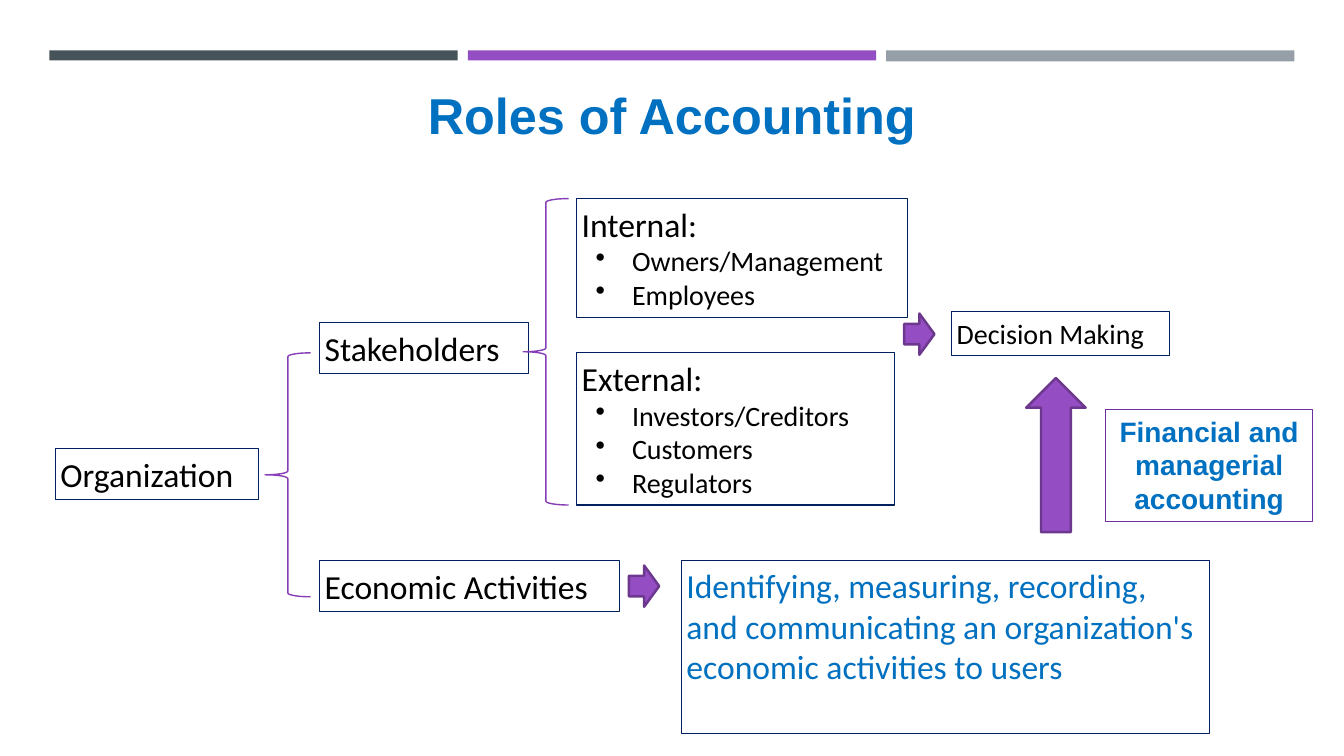
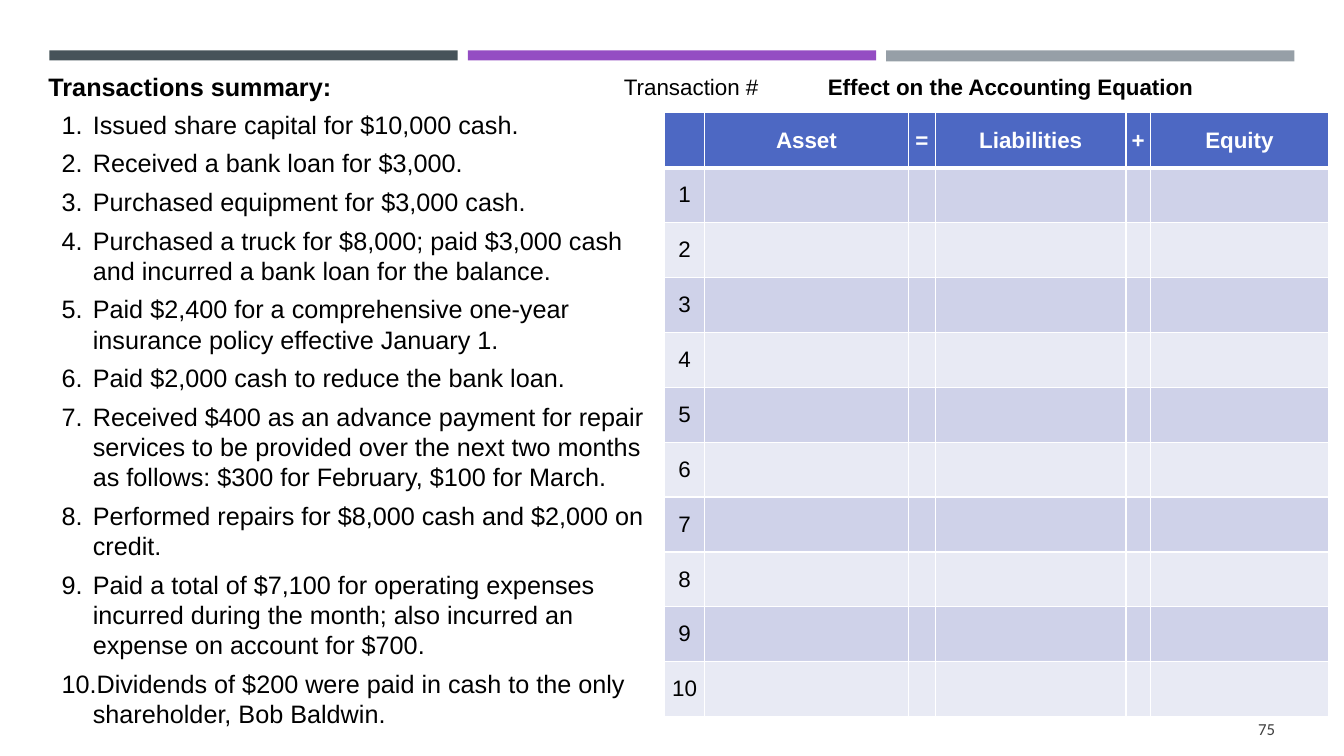
"""Build two accounting slides: a diagram of roles and a transaction table."""
from lxml.etree import SubElement
from pptx import Presentation
from pptx.dml.color import RGBColor
from pptx.enum.shapes import MSO_SHAPE
from pptx.enum.text import MSO_ANCHOR, MSO_AUTO_SIZE, PP_ALIGN
from pptx.oxml.ns import qn
from pptx.util import Inches, Pt

WIDE, HIGH = Inches(13.33), Inches(7.5)
PAD = Inches(0.05)

BLACK = RGBColor(0x00, 0x00, 0x00)
WHITE = RGBColor(0xFF, 0xFF, 0xFF)
GRAY = RGBColor(0x40, 0x40, 0x40)
SLATE = RGBColor(0x46, 0x53, 0x59)
STEEL = RGBColor(0x96, 0x9F, 0xA7)
PURPLE = RGBColor(0x94, 0x4D, 0xC3)
PLUM = RGBColor(0x6C, 0x38, 0x8E)
VIOLET = RGBColor(0x70, 0x30, 0xA0)
ORCHID = RGBColor(0x87, 0x3E, 0xB7)
NAVY = RGBColor(0x00, 0x20, 0x60)
BLUE = RGBColor(0x00, 0x70, 0xC0)
HEAD = RGBColor(0x4D, 0x68, 0xC3)
STRIPES = RGBColor(0xE8, 0xEA, 0xF4), RGBColor(0xCF, 0xD2, 0xE9)

TASKS = (
    "Issued share capital for $10,000 cash.",
    "Received a bank loan for $3,000.",
    "Purchased equipment for $3,000 cash.",
    "Purchased a truck for $8,000; paid $3,000 cash and incurred a bank loan for the balance.",
    "Paid $2,400 for a comprehensive one-year insurance policy effective January 1.",
    "Paid $2,000 cash to reduce the bank loan.",
    "Received $400 as an advance payment for repair services to be provided over the next "
    "two months as follows: $300 for February, $100 for March.",
    "Performed repairs for $8,000 cash and $2,000 on credit.",
    "Paid a total of $7,100 for operating expenses incurred during the month; also incurred "
    "an expense on account for $700.",
    "Dividends of $200 were paid in cash to the only shareholder, Bob Baldwin.",
)
HEADS = ("", "Asset", "=", "Liabilities", "+", "Equity")
COLS = (3, 15.15, 2.03, 14.18, 1.8, 13.28)


def area(x, y, w, h):
    """Turn percentages of the slide into left, top, width and height."""
    return [int(part * full / 100) for part, full in zip((x, y, w, h), (WIDE, HIGH) * 2)]


def mark(para, kind, left, hang, **attrs):
    """Give a paragraph a hanging bullet or number."""
    props = para._p.get_or_add_pPr()
    props.set("marL", str(Inches(left)))
    props.set("indent", str(-Inches(hang)))
    SubElement(props, qn(kind), **attrs)


def write(frame, *lines, size=24, font="Calibri", color=BLACK, bold=False,
          align=PP_ALIGN.LEFT, gap=0, bullet=None):
    """Add formatted paragraphs to a text frame."""
    for line in lines:
        first = not frame.text
        para = frame.paragraphs[0] if first else frame.add_paragraph()
        if bullet == "dot":
            mark(para, "a:buChar", 0.5, 0.36, char="•")
        elif bullet == "number":
            mark(para, "a:buAutoNum", 0.44, 0.31, type="arabicPeriod")
        para.alignment = align
        para.space_before = Pt(0 if first else gap)
        run = para.add_run()
        run.text = line
        run.font.size, run.font.name, run.font.bold = Pt(size), font, bold
        run.font.color.rgb = color


def fit(frame, wrap=True, anchor=MSO_ANCHOR.TOP):
    """Set the insets, wrapping and anchor of a text frame."""
    frame.auto_size = MSO_AUTO_SIZE.NONE
    frame.word_wrap = wrap
    frame.vertical_anchor = anchor
    frame.margin_left = frame.margin_right = PAD
    frame.margin_top = frame.margin_bottom = PAD
    return frame


def hold(item, place):
    """Move a placeholder and return its text frame."""
    item.left, item.top, item.width, item.height = area(*place)
    return fit(item.text_frame)


def draw(slide, kind, place, fill=None, line=None, width=0.75):
    """Add a flat preset shape."""
    shape = slide.shapes.add_shape(kind, *area(*place))
    shape.shadow.inherit = False
    if fill is None:
        shape.fill.background()
    else:
        shape.fill.solid()
        shape.fill.fore_color.rgb = fill
    if line is None:
        shape.line.fill.background()
    else:
        shape.line.color.rgb = line
        shape.line.width = Pt(width)
    return shape


def box(slide, place, *lines, line=NAVY, **style):
    """Add an outlined box with text."""
    frame = fit(draw(slide, MSO_SHAPE.RECTANGLE, place, line=line).text_frame)
    write(frame, *lines, **style)
    return frame


def label(slide, place, text, anchor=MSO_ANCHOR.TOP, **style):
    """Add a single-line text box."""
    frame = slide.shapes.add_textbox(*area(*place)).text_frame
    write(fit(frame, False, anchor), text, **style)


def bands(deck, slide):
    """Draw the three top bands and move them to the master."""
    for num, (color, tall) in enumerate(((SLATE, 1.33), (PURPLE, 1.33), (STEEL, 1.47))):
        place = (3.68 + 31.13 * num, 6.67, 30.38, tall)
        band = draw(slide, MSO_SHAPE.RECTANGLE, place, fill=color).element
        band.nvSpPr.cNvPr.set("id", str(100 + num))
        deck.slide_master.shapes.element.append(band)


def edge(cell, thick):
    """Give a cell white borders, with one thickness for the bottom."""
    props = cell._tc.get_or_add_tcPr()
    for side in "LRTB":
        width = Pt(thick if side == "B" else 1)
        line = SubElement(props, qn("a:ln" + side), w=str(width))
        fill = SubElement(line, qn("a:solidFill"))
        SubElement(fill, qn("a:srgbClr"), val=str(WHITE))


def grid(slide, place):
    """Add the empty accounting equation table."""
    count = len(TASKS) + 1
    table = slide.shapes.add_table(count, len(COLS), *area(*place)).table
    for col, share in zip(table.columns, COLS):
        col.width = int(WIDE * share / 100)
    for num, row in enumerate(table.rows):
        row.height = int(HIGH * place[3] / 100 / count)
        texts = (str(num),) if num else HEADS
        for pos, cell in enumerate(row.cells):
            edge(cell, 1 if num else 3)
            cell.fill.solid()
            cell.fill.fore_color.rgb = STRIPES[num % 2] if num else HEAD
            cell.vertical_anchor = MSO_ANCHOR.MIDDLE
            cell.margin_left = cell.margin_right = PAD
            cell.margin_top = cell.margin_bottom = PAD
            if pos < len(texts) and texts[pos]:
                write(cell.text_frame, texts[pos], size=16, font="Arial", bold=not num,
                      color=BLACK if num else WHITE, align=PP_ALIGN.CENTER)


def roles(slide):
    """Fill the slide on the roles of accounting."""
    write(hold(slide.shapes.title, (0.38, 10.4, 99.23, 9.33)), "Roles of Accounting",
          size=36, font="Arial", color=BLUE, bold=True, align=PP_ALIGN.CENTER)
    box(slide, (4.13, 59.33, 15.08, 6.8), "Organization")
    box(slide, (23.78, 74.13, 22.35, 6.8), "Economic Activities")
    box(slide, (23.78, 42.67, 15.53, 6.8), "Stakeholders")
    for place, name, items in (
        ((42.9, 26.27, 24.6, 15.73), "Internal:", ("Owners/Management", "Employees")),
        ((42.9, 46.67, 23.63, 20.13), "External:",
         ("Investors/Creditors", "Customers", "Regulators")),
    ):
        write(box(slide, place, name), *items, size=20, bullet="dot")
    box(slide, (70.8, 41.2, 16.2, 5.87), "Decision Making", size=20)
    box(slide, (50.7, 74.13, 39.3, 22.93),
        "Identifying, measuring, recording, and communicating an organization's "
        "economic activities to users", color=BLUE)
    box(slide, (82.28, 54.13, 15.38, 14.8), "Financial and managerial accounting",
        line=VIOLET, size=20, font="Arial", color=BLUE, bold=True, align=PP_ALIGN.CENTER)
    for place in ((19.73, 46.67, 3.38, 32.27), (38.93, 26.27, 3.38, 40.53)):
        draw(slide, MSO_SHAPE.LEFT_BRACE, place, line=ORCHID, width=1)
    for kind, place in (
        (MSO_SHAPE.RIGHT_ARROW, (46.8, 74.8, 2.25, 5.47)),
        (MSO_SHAPE.RIGHT_ARROW, (67.28, 41.47, 2.25, 5.47)),
        (MSO_SHAPE.UP_ARROW, (76.35, 50, 4.43, 20.4)),
    ):
        draw(slide, kind, place, fill=PURPLE, line=PLUM, width=1.75)


def ledger(slide):
    """Fill the slide on the transactions."""
    write(hold(slide.shapes.title, (3.23, 8.8, 40, 4.8)), "Transactions summary:",
          size=18, font="Arial", bold=True)
    write(hold(slide.placeholders[1], (3.23, 13.73, 46.73, 84.9)), *TASKS,
          size=18, font="Arial", gap=6, bullet="number")
    grid(slide, (49.43, 14.93, 49.43, 79.87))
    label(slide, (61.13, 9.07, 28.13, 4.8), "Effect on the Accounting Equation",
          size=16, font="Arial", bold=True, align=PP_ALIGN.CENTER)
    label(slide, (46.05, 9.07, 10.88, 4.8), "Transaction #", size=16, font="Arial")
    label(slide, (93, 94.4, 2.25, 3.87), "75", anchor=MSO_ANCHOR.MIDDLE,
          size=12, color=GRAY, align=PP_ALIGN.RIGHT)


def main():
    """Build and save the deck."""
    deck = Presentation()
    deck.slide_width, deck.slide_height = WIDE, HIGH
    first = deck.slides.add_slide(deck.slide_layouts[5])
    bands(deck, first)
    roles(first)
    ledger(deck.slides.add_slide(deck.slide_layouts[1]))
    deck.save("out.pptx")


if __name__ == "__main__":
    main()
